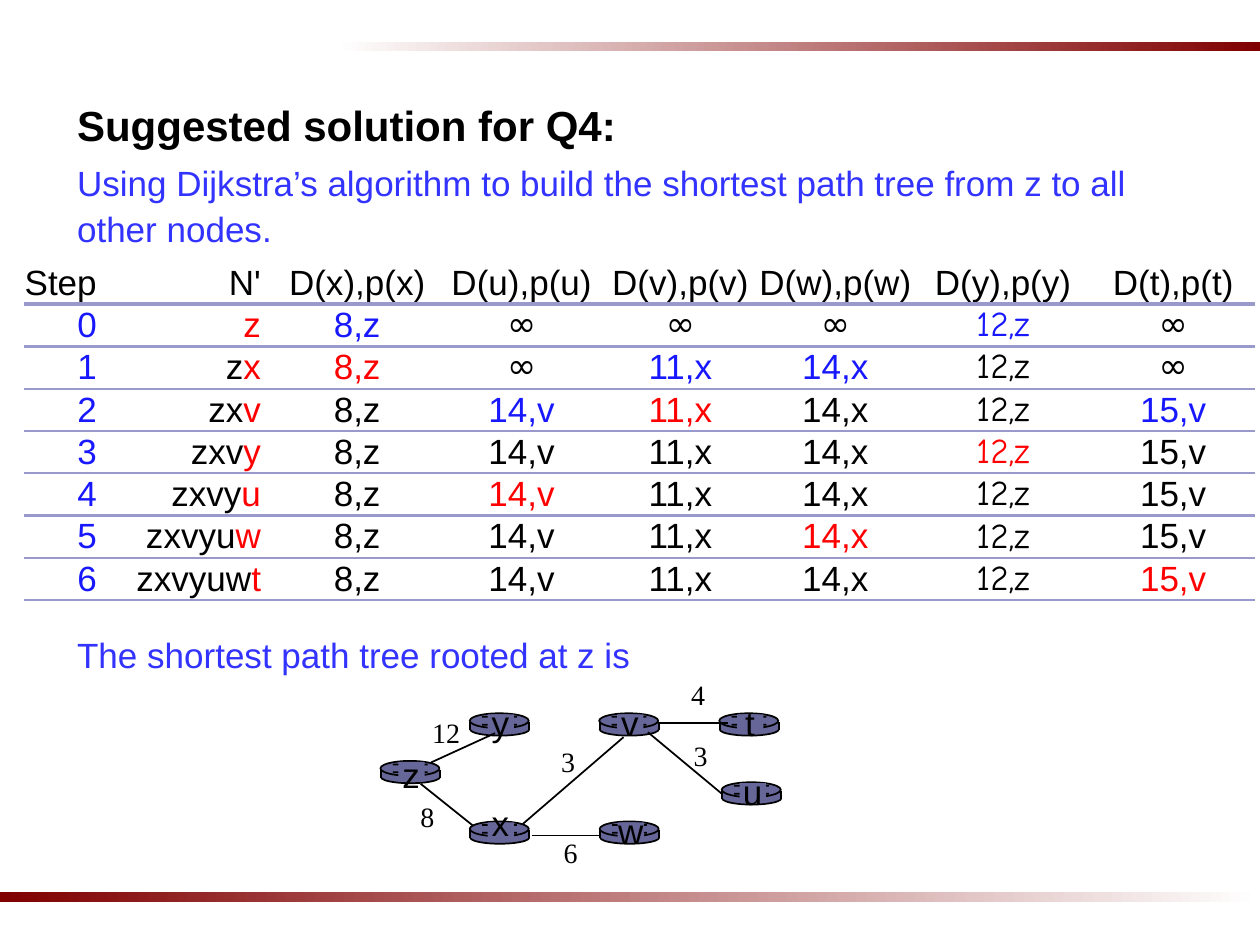
"""Build the slide on the shortest path tree found with Dijkstra's algorithm."""
from lxml import etree
from pptx import Presentation
from pptx import util as u
from pptx.dml.color import RGBColor
from pptx.enum import shapes, text
from pptx.oxml import ns

BLACK = RGBColor(0x00, 0x00, 0x00)
WHITE = RGBColor(0xFF, 0xFF, 0xFF)
MAROON = RGBColor(0x80, 0x00, 0x00)
RED = RGBColor(0xFF, 0x00, 0x00)
BLUE = RGBColor(0x18, 0x18, 0xFF)
BODY_BLUE = RGBColor(0x33, 0x33, 0xFF)
RULE = RGBColor(0x99, 0x99, 0xCC)
ROUTER = RGBColor(0x66, 0x66, 0x99)
NO_TABLE_STYLE = "{2D5ABB26-0587-4C30-8999-92F81FD0307C}"

ROOT = "z"
JOIN_ORDER = "xvyuwt"
STEPS = len(JOIN_ORDER) + 1
DISTANCES = {
    "x": (0, "8,z"), "u": (2, "14,v"), "v": (1, "11,x"),
    "w": (1, "14,x"), "y": (0, "12,z"), "t": (2, "15,v"),
}
COLUMN_WIDTHS = [1.47, 3.61, 3.28, 3.35, 3.05, 3.2, 3.56, 3.3]
ROUTERS = {
    "z": (7.67, 15.34, -0.28), "x": (9.47, 16.56, -0.53),
    "y": (9.47, 14.38, -0.36), "v": (12.08, 14.38, -0.36),
    "w": (12.09, 16.56, -0.36), "u": (14.55, 15.77, -0.36),
    "t": (14.5, 14.38, -0.36),
}
LINKS = [
    (8.69, 15.37, 9.98, 14.78), (9.53, 16.64, 8.48, 15.8),
    (10.54, 16.61, 12.57, 14.86), (13.28, 14.58, 14.68, 14.58),
    (13.06, 14.76, 14.55, 16.0), (10.72, 16.84, 12.12, 16.84),
]
WEIGHTS = [
    ("12", 8.18, 14.3), ("8", 7.8, 16.0), ("3", 10.64, 14.88),
    ("4", 13.26, 13.54), ("3", 13.31, 14.76), ("6", 10.69, 16.71),
]


def lengths(*values):
    """Turn centimetre values into lengths."""
    return [u.Cm(value) for value in values]


def add_text(paragraph, words, size=20, font="Arial", color=BLACK, bold=False, align=None):
    """Append a formatted run to a paragraph."""
    run = paragraph.add_run()
    run.text = words
    run.font.size = u.Pt(size)
    run.font.name = font
    run.font.bold = bold
    run.font.color.rgb = color
    if align is not None:
        paragraph.alignment = align


def place(shape, left, top, width, height):
    """Move and size a shape."""
    shape.left, shape.top, shape.width, shape.height = lengths(left, top, width, height)


def add_label(container, words, left, top, width, height, **style):
    """Add a centred text box."""
    box = container.add_textbox(*lengths(left, top, width, height))
    box.text_frame.word_wrap = True
    add_text(box.text_frame.paragraphs[0], words, align=text.PP_ALIGN.CENTER, **style)


def add_line(container, *ends):
    """Add a plain black line."""
    line = container.add_connector(shapes.MSO_CONNECTOR.STRAIGHT, *lengths(*ends))
    line.line.color.rgb = BLACK
    line.line.width = u.Pt(1)
    etree.SubElement(line._element.spPr, ns.qn("a:effectLst"))


def add_block(container, kind, left, top, width, height, outlined=False):
    """Add a router part, with or without an outline."""
    block = container.add_shape(kind, *lengths(left, top, width, height))
    block.shadow.inherit = False
    block.fill.solid()
    block.fill.fore_color.rgb = ROUTER
    if outlined:
        block.line.color.rgb = BLACK
        block.line.width = u.Pt(1)
    else:
        block.line.fill.background()


def add_stroke(container, left, top, start, end):
    """Add an S-shaped mark on the top of a router."""
    points = [(0.25, start), (0.46, start), (0.74, end), (0.95, end)]
    points = [lengths(left + x, top + y) for x, y in points]
    builder = container.build_freeform(*points[0])
    builder.add_line_segments(points[1:], close=False)
    stroke = builder.convert_to_shape()
    stroke.shadow.inherit = False
    stroke.fill.background()
    stroke.line.color.rgb = BLACK
    stroke.line.width = u.Pt(1)


def add_router(container, left, top):
    """Add a disc-shaped router."""
    oval, rectangle = shapes.MSO_SHAPE.OVAL, shapes.MSO_SHAPE.RECTANGLE
    add_block(container, oval, left + 0.01, top + 0.2, 1.19, 0.25, outlined=True)
    add_block(container, rectangle, left + 0.01, top + 0.18, 1.18, 0.15)
    for side in (left + 0.01, left + 1.2):
        add_line(container, side, top + 0.18, side, top + 0.34)
    add_block(container, oval, left, top, 1.19, 0.3, outlined=True)
    add_stroke(container, left, top, 0.07, 0.23)
    add_stroke(container, left, top, 0.23, 0.07)
    add_block(container, rectangle, left + 0.36, top + 0.02, 0.53, 0.4)


def add_network(slide):
    """Draw the shortest path tree."""
    network = slide.shapes.add_group_shape().shapes
    for left, top, _ in ROUTERS.values():
        add_router(network, left, top)
    for link in LINKS:
        add_line(network, *link)
    for name, (left, top, rise) in ROUTERS.items():
        add_label(network, name, left + 0.12, top + rise, 1, 1.12)
    for weight, left, top in WEIGHTS:
        add_label(slide.shapes, weight, left, top, 1.63, 0.94,
                  size=16, font="Times New Roman")


def add_bar(slide, left, top, width, colors):
    """Add a decorative gradient bar."""
    bar = slide.shapes.add_shape(shapes.MSO_SHAPE.RECTANGLE, *lengths(left, top, width, 0.2))
    bar.shadow.inherit = False
    bar.line.fill.background()
    bar.fill.gradient()
    bar.fill.gradient_angle = 0
    for stop, color in zip(bar.fill.gradient_stops, colors):
        stop.color.rgb = color


def underline(cell, width):
    """Draw the bottom border of a cell."""
    border = etree.Element(ns.qn("a:lnB"), w=str(u.Pt(width)))
    fill = etree.SubElement(border, ns.qn("a:solidFill"))
    etree.SubElement(fill, ns.qn("a:srgbClr"), val=str(RULE))
    cell._tc.get_or_add_tcPr().insert(0, border)


def fill_distance(paragraph, node, step):
    """Write a distance: blue when it changes, red when the node joins."""
    first, value = DISTANCES[node]
    color = BLACK
    if step == JOIN_ORDER.index(node) + 1:
        color = RED
    elif step == first:
        color = BLUE
    known = step >= first
    font = "Comic Neue" if node == "y" or not known else "Arial"
    add_text(paragraph, value if known else "∞", font=font, color=color,
             align=text.PP_ALIGN.CENTER)


def add_steps_table(slide):
    """Add the table of algorithm steps."""
    frame = slide.shapes.add_table(STEPS + 1, len(COLUMN_WIDTHS),
                                   *lengths(0.48, 5.28, sum(COLUMN_WIDTHS), 6.82))
    table = frame.table
    table._tbl.tblPr.find(ns.qn("a:tableStyleId")).text = NO_TABLE_STYLE
    table.first_row = table.horz_banding = False
    for column, width in zip(table.columns, COLUMN_WIDTHS):
        column.width = u.Cm(width)
    headers = ["Step", "N'"] + [f"D({node}),p({node})" for node in DISTANCES]
    for row in range(STEPS + 1):
        table.rows[row].height = u.Cm(6.82 / (STEPS + 1))
        step = row - 1
        for index, header in enumerate(headers):
            cell = table.cell(row, index)
            cell.margin_left = cell.margin_right = cell.margin_top = cell.margin_bottom = 0
            cell.vertical_anchor = text.MSO_ANCHOR.MIDDLE
            cell.fill.background()
            underline(cell, 1.5 if row else 2.25)
            paragraph = cell.text_frame.paragraphs[0]
            align = text.PP_ALIGN.RIGHT if index < 2 else text.PP_ALIGN.CENTER
            if index == 1:
                cell.margin_right = u.Cm(0.3)
            if row == 0:
                add_text(paragraph, header, align=align)
            elif index == 0:
                add_text(paragraph, str(step), color=BLUE, align=align)
            elif index == 1:
                visited = (ROOT + JOIN_ORDER)[:row]
                if step:
                    add_text(paragraph, visited[:-1], align=align)
                add_text(paragraph, visited[-1], color=RED, align=align)
            else:
                fill_distance(paragraph, list(DISTANCES)[index - 2], step)


def add_body(slide):
    """Fill the title and body placeholders."""
    title, body = slide.shapes.title, slide.placeholders[1]
    place(title, 1.3, 1.93, 23.4, 1.15)
    place(body, 1.3, 3.05, 23.4, 15.08)
    for shape in (title, body):
        shape.text_frame.word_wrap = True
        shape.text_frame.auto_size = text.MSO_AUTO_SIZE.NONE
    add_text(title.text_frame.paragraphs[0], "Suggested solution for Q4:", size=24,
             bold=True, align=text.PP_ALIGN.LEFT)
    intro, closing = body.text_frame.paragraphs[0], body.text_frame.add_paragraph()
    add_text(intro, "Using Dijkstra’s algorithm to build the shortest path tree "
                    "from z to all other nodes.", color=BODY_BLUE)
    add_text(closing, "The shortest path tree rooted at z is", color=BODY_BLUE)
    for paragraph, space in ((intro, 0), (closing, 217)):
        paragraph.line_spacing = 1.1
        paragraph.space_before = u.Pt(space)
        properties = paragraph._p.get_or_add_pPr()
        properties.set("marL", "0")
        properties.set("indent", "0")
        etree.SubElement(properties, ns.qn("a:buNone"))


def main():
    """Build and save the presentation."""
    presentation = Presentation()
    presentation.slide_width, presentation.slide_height = lengths(25.4, 19.05)
    slide = presentation.slides.add_slide(presentation.slide_layouts[1])
    add_bar(slide, 6.78, 0.84, 18.62, (WHITE, MAROON))
    add_bar(slide, 0, 17.98, 25.4, (MAROON, WHITE))
    add_body(slide)
    add_steps_table(slide)
    add_network(slide)
    presentation.save("out.pptx")


if __name__ == "__main__":
    main()
